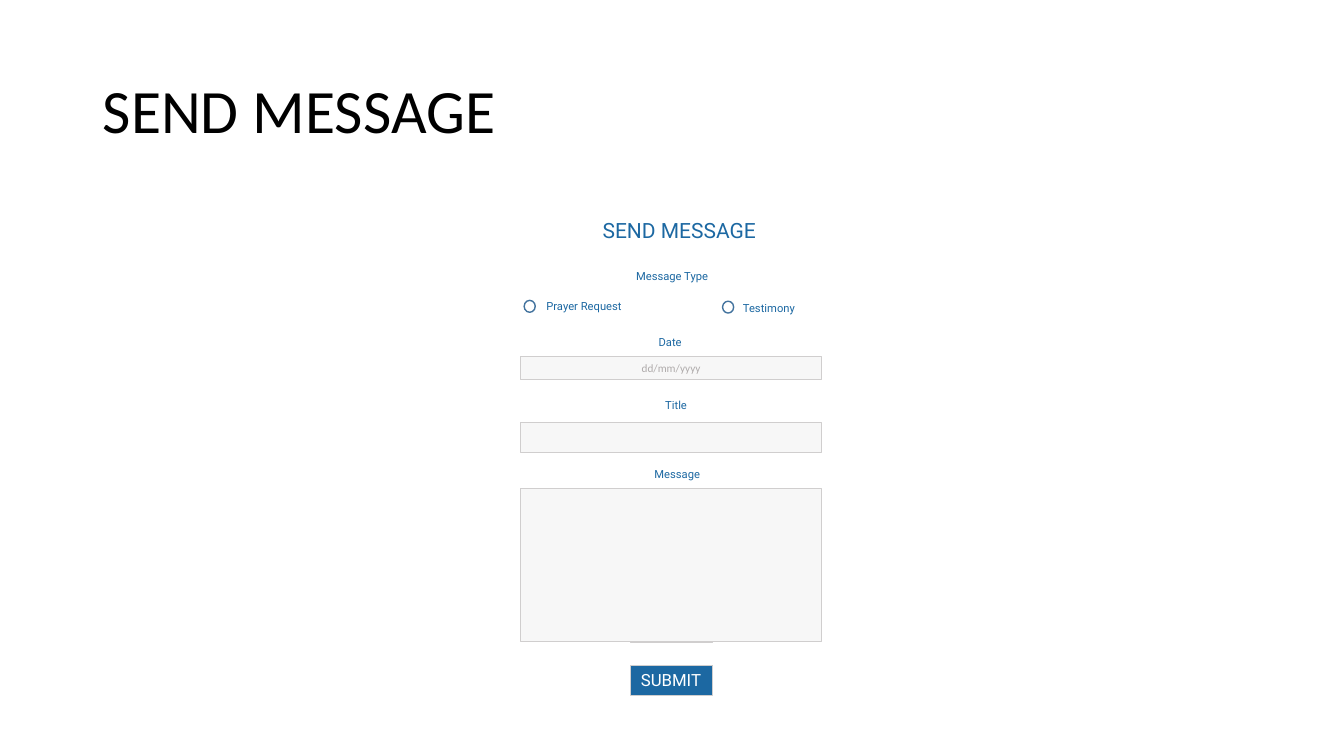
from dataclasses import dataclass
from typing import Optional

from pptx import Presentation
from pptx.dml.color import RGBColor
from pptx.enum.shapes import MSO_SHAPE
from pptx.enum.text import MSO_ANCHOR, PP_ALIGN
from pptx.shapes.autoshape import Shape
from pptx.util import Cm, Pt


@dataclass(frozen=True)
class Theme:
    heading_font: str = "Calibri"
    form_font: str = "Roboto"
    black: str = "000000"
    white: str = "FFFFFF"
    blue: str = "1C68A2"
    ring: str = "43739E"
    field: str = "F7F7F7"
    border: str = "D0CECE"
    hint: str = "AFABAB"
    title_size: float = 44
    form_title_size: float = 15
    button_size: float = 12
    label_size: float = 8
    border_width: float = 0.75
    ring_width: float = 1


THEME = Theme()
FIELD_LEFT, FIELD_WIDTH = 13.13, 7.57
BUTTON_LEFT, BUTTON_WIDTH, BUTTON_HEIGHT = 15.9, 2.06, 0.76
LABEL_HEIGHT = 0.51
RING_WIDTH, RING_HEIGHT = 0.28, 0.3


@dataclass(frozen=True)
class Box:
    """A rectangle or ellipse, measured in centimetres."""
    left: float
    top: float
    width: float
    height: float


@dataclass(frozen=True)
class Label:
    text: str
    box: Box
    size: float = THEME.label_size


@dataclass(frozen=True)
class RadioOption:
    label: Label
    ring: Box


FORM_LABELS = [
    Label("SEND MESSAGE", Box(14.4, 5.36, 5.44, 0.91), THEME.form_title_size),
    Label("Message Type", Box(14.91, 6.65, 4.06, LABEL_HEIGHT)),
    Label("Date", Box(14.86, 8.33, 4.06, LABEL_HEIGHT)),
    Label("Title", Box(14.4, 9.91, 5.28, LABEL_HEIGHT)),
    Label("Message", Box(15.04, 11.66, 4.06, LABEL_HEIGHT)),
]
RADIO_OPTIONS = [
    RadioOption(Label("Prayer Request", Box(13.41, 7.42, 2.62, LABEL_HEIGHT)),
                Box(13.21, 7.57, RING_WIDTH, RING_HEIGHT)),
    RadioOption(Label("Testimony", Box(18.21, 7.47, 2.34, LABEL_HEIGHT)),
                Box(18.21, 7.59, RING_WIDTH, RING_HEIGHT)),
]
DATE_FIELD = Box(FIELD_LEFT, 8.99, FIELD_WIDTH, 0.58)
TITLE_FIELD = Box(FIELD_LEFT, 10.64, FIELD_WIDTH, 0.76)
MESSAGE_FIELD = Box(FIELD_LEFT, 12.32, FIELD_WIDTH, 3.84)
BACK_BUTTON = Box(BUTTON_LEFT, 15.42, BUTTON_WIDTH, BUTTON_HEIGHT)
SUBMIT_BUTTON = Box(BUTTON_LEFT, 16.76, BUTTON_WIDTH, BUTTON_HEIGHT)


def place(shape, box: Box) -> None:
    shape.left, shape.top = Cm(box.left), Cm(box.top)
    shape.width, shape.height = Cm(box.width), Cm(box.height)


def write_text(shape, text: str, *, size: float, color: str,
               font: str = THEME.form_font,
               align: PP_ALIGN = PP_ALIGN.CENTER,
               anchor: MSO_ANCHOR = MSO_ANCHOR.TOP,
               line_spacing: float = 1.0) -> None:
    frame = shape.text_frame
    frame.word_wrap = True
    frame.vertical_anchor = anchor
    paragraph = frame.paragraphs[0]
    paragraph.alignment = align
    paragraph.line_spacing = line_spacing
    run = paragraph.add_run()
    run.text = text
    run.font.name = font
    run.font.size = Pt(size)
    run.font.color.rgb = RGBColor.from_string(color)


def add_box(shapes, box: Box, *, fill: Optional[str] = None,
            line: Optional[str] = None, line_width: float = THEME.border_width,
            kind: MSO_SHAPE = MSO_SHAPE.RECTANGLE) -> Shape:
    shape = shapes.add_shape(kind, Cm(box.left), Cm(box.top),
                             Cm(box.width), Cm(box.height))
    shape.shadow.inherit = False
    if fill:
        shape.fill.solid()
        shape.fill.fore_color.rgb = RGBColor.from_string(fill)
    else:
        shape.fill.background()
    if line:
        shape.line.color.rgb = RGBColor.from_string(line)
        shape.line.width = Pt(line_width)
    else:
        shape.line.fill.background()
    return shape


def add_label(shapes, label: Label) -> None:
    shape = add_box(shapes, label.box, fill=THEME.white)
    write_text(shape, label.text, size=label.size, color=THEME.blue)


def add_radio_option(shapes, option: RadioOption) -> None:
    group = shapes.add_group_shape()
    add_label(group.shapes, option.label)
    add_box(group.shapes, option.ring, line=THEME.ring,
            line_width=THEME.ring_width, kind=MSO_SHAPE.OVAL)


def add_field(shapes, box: Box) -> Shape:
    return add_box(shapes, box, fill=THEME.field, line=THEME.border)


def add_button(shapes, box: Box) -> Shape:
    return add_box(shapes, box, fill=THEME.blue, line=THEME.border)


def main() -> None:
    presentation = Presentation()
    presentation.slide_width, presentation.slide_height = Cm(33.87), Cm(19.05)
    slide = presentation.slides.add_slide(presentation.slide_layouts[5])
    shapes = slide.shapes

    place(shapes.title, Box(2.34, 1.02, 29.21, 3.68))
    write_text(shapes.title, "SEND MESSAGE", size=THEME.title_size,
               color=THEME.black, font=THEME.heading_font,
               align=PP_ALIGN.LEFT, anchor=MSO_ANCHOR.MIDDLE, line_spacing=0.9)

    for label in FORM_LABELS:
        add_label(shapes, label)
    for option in RADIO_OPTIONS:
        add_radio_option(shapes, option)

    date_field = add_field(shapes, DATE_FIELD)
    write_text(date_field, "dd/mm/yyyy", size=THEME.label_size,
               color=THEME.hint, font=THEME.heading_font)
    add_field(shapes, TITLE_FIELD)

    add_button(shapes, BACK_BUTTON)
    add_field(shapes, MESSAGE_FIELD)
    submit_button = add_button(shapes, SUBMIT_BUTTON)
    write_text(submit_button, "SUBMIT", size=THEME.button_size,
               color=THEME.white, align=PP_ALIGN.LEFT)

    presentation.save("out.pptx")


if __name__ == "__main__":
    main()
